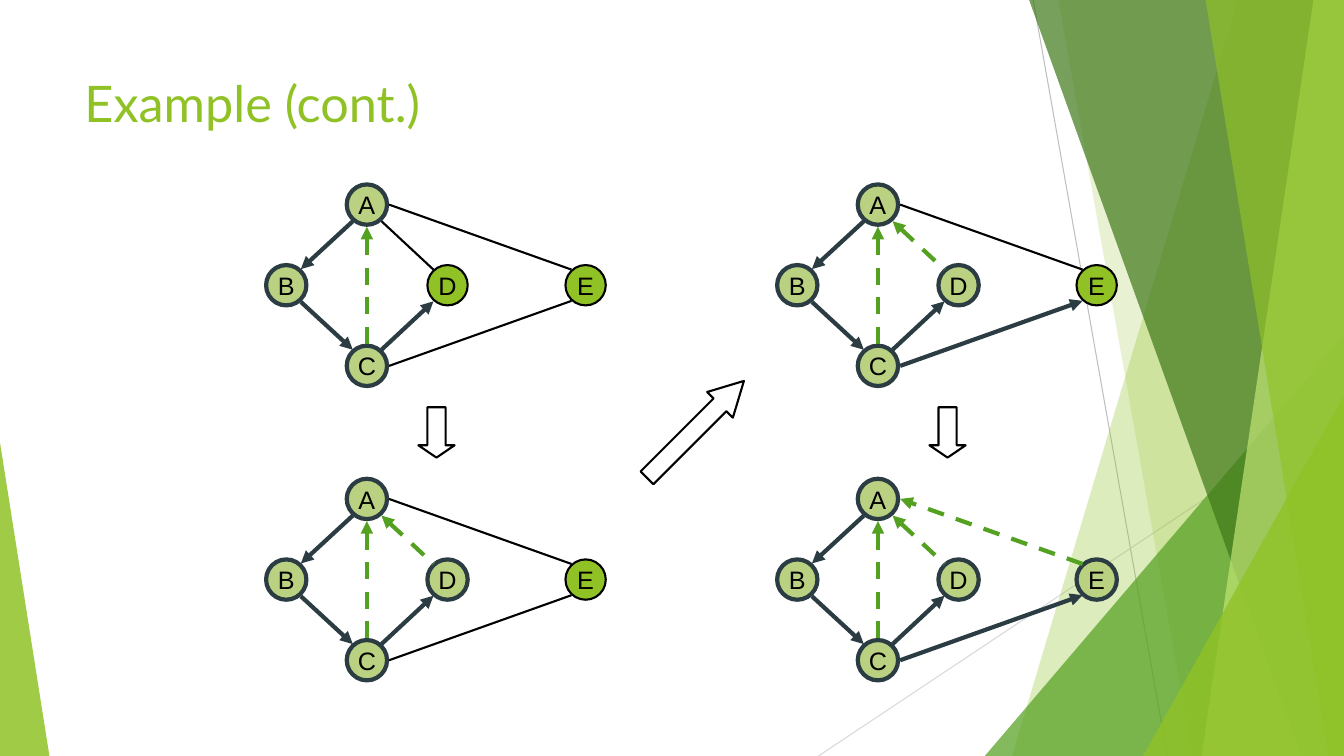
"""Draw the four steps of a depth-first search on a decorated slide."""
from dataclasses import dataclass

from lxml import etree
from pptx import Presentation
from pptx.dml.color import RGBColor
from pptx.enum.dml import MSO_LINE
from pptx.enum.shapes import MSO_CONNECTOR, MSO_SHAPE
from pptx.enum.text import MSO_ANCHOR, PP_ALIGN
from pptx.oxml.ns import qn
from pptx.util import Inches, Length, Pt

DASH = MSO_LINE.DASH
STRAIGHT = MSO_CONNECTOR.STRAIGHT
TRIANGLE, ELLIPSE, ARROW = (
    MSO_SHAPE.RIGHT_TRIANGLE, MSO_SHAPE.OVAL, MSO_SHAPE.RIGHT_ARROW)
TRIANGLE = MSO_SHAPE.ISOSCELES_TRIANGLE
TOP, MIDDLE = MSO_ANCHOR.TOP, MSO_ANCHOR.MIDDLE
LEFT, CENTER = PP_ALIGN.LEFT, PP_ALIGN.CENTER

CELLS_PER_INCH = 10
COLUMNS, ROWS = 133.33, 75
NODE_SIZE = 4
PANEL_COLUMNS = (36.4, 87.1)
PANEL_ROWS = (20.3, 49.5)

COLORS = {
    "lime": "90C226", "pale": "B9D181", "leaf": "54A021", "forest": "3F7819",
    "light": "C0E474", "slate": "2C3C43", "black": "000000",
    "silver": "BFBFBF", "mist": "D9D9D9",
}

Point = tuple[float, float]


@dataclass(frozen=True)
class Stroke:
    color: str
    width: float
    dashed: bool = False


PLAIN = Stroke("black", 1.5)
TREE = Stroke("slate", 3)
BACK = Stroke("leaf", 3, True)


@dataclass(frozen=True)
class Node:
    label: str
    column: float
    row: float
    visited_step: int = 1


@dataclass(frozen=True)
class Edge:
    start: Point
    end: Point
    stroke: Stroke
    arrow_end: str
    used_step: int = 1


@dataclass(frozen=True)
class Facet:
    points: tuple[Point, ...]
    color: str
    opacity: int


@dataclass(frozen=True)
class Wedge:
    column: float
    row: float
    width: float
    apex: float
    color: str
    opacity: int


@dataclass(frozen=True)
class StepArrow:
    column: float
    row: float
    length: float
    rotation: float
    head: float


NODES = (
    Node("A", 0, 0), Node("B", -8, 8), Node("C", 0, 16),
    Node("D", 8, 8, 2), Node("E", 21.7, 8, 4),
)
EDGES = (
    Edge((-1.4, 1.65), (-6.55, 6.4), TREE, "tailEnd"),
    Edge((-1.4, 14.4), (-6.55, 9.65), TREE, "headEnd"),
    Edge((1.45, 14.4), (6.6, 9.6), TREE, "tailEnd"),
    Edge((1.45, 1.65), (6.6, 6.45), BACK, "headEnd", 2),
    Edge((0, 2.2), (0, 13.8), BACK, "headEnd"),
    Edge((2.2, 16), (20.3, 9.55), TREE, "tailEnd", 3),
    Edge((20.3, 6.45), (2.2, 0), BACK, "tailEnd", 4),
)
DECORATIONS = (
    Facet(((122.8, 0), (COLUMNS, 0), (COLUMNS, ROWS), (100.4, ROWS)), "lime", 30),
    Facet(((105, 0), (COLUMNS, 0), (COLUMNS, ROWS), (118.3, ROWS)), "lime", 20),
    Wedge(97.7, 33.3, 35.6, 1, "leaf", 72),
    Facet(((102.1, 0), (COLUMNS, 0), (COLUMNS, ROWS), (129.1, ROWS)), "forest", 70),
    Facet(((130.3, 0), (COLUMNS, 0), (COLUMNS, ROWS), (119.2, ROWS)), "light", 70),
    Facet(((119.6, 0), (COLUMNS, 0), (COLUMNS, ROWS), (131.8, ROWS)), "lime", 65),
    Wedge(113.4, 39.3, 19.9, 1, "lime", 80),
    Wedge(0, 43.9, 4.9, 0, "lime", 85),
)
STEP_ARROWS = (
    StepArrow(43.3, 42.9, 5, 90, 0.34),
    StepArrow(69, 42.6, 13.6, 315, 0.93),
    StepArrow(94, 42.9, 5, 90, 0.34),
)


def cells(count: float) -> Length:
    """Turn grid cells into a length."""
    return Inches(count / CELLS_PER_INCH)


def rgb(name: str) -> RGBColor:
    """Look up a named colour."""
    return RGBColor.from_string(COLORS[name])


def write_text(shape, text: str, *, size: float, font: str, color: str,
               align=LEFT, anchor=TOP, wrap: bool = True) -> None:
    """Put one formatted line of text into a shape."""
    frame = shape.text_frame
    frame.word_wrap = wrap
    frame.vertical_anchor = anchor
    para = frame.paragraphs[0]
    para.alignment = align
    span = para.add_run()
    span.text = text
    span.font.size = Pt(size)
    span.font.name = font
    span.font.color.rgb = rgb(color)


def apply_stroke(line, stroke: Stroke) -> None:
    """Give a line its colour, width and dash."""
    line.color.rgb = rgb(stroke.color)
    line.width = Pt(stroke.width)
    if stroke.dashed:
        line.dash_style = DASH


def draw_line(page, start: Point, end: Point, stroke: Stroke,
              arrow_end: str = "") -> None:
    """Draw a straight line, with an arrowhead at the named end if any."""
    line = page.shapes.add_connector(STRAIGHT, *map(cells, start + end))
    apply_stroke(line.line, stroke)
    if arrow_end:
        etree.SubElement(line.get_or_add_ln(), qn(f"a:{arrow_end}"), type="triangle")
    etree.SubElement(line._element.spPr, qn("a:effectLst"))


def draw_decoration(page, item: Facet | Wedge) -> None:
    """Draw one translucent background polygon."""
    if isinstance(item, Facet):
        points = [(cells(column), cells(row)) for column, row in item.points]
        builder = page.shapes.build_freeform(*points[0])
        builder.add_line_segments(points[1:])
        shape = builder.convert_to_shape()
    else:
        shape = page.shapes.add_shape(
            TRIANGLE, cells(item.column), cells(item.row),
            cells(item.width), cells(ROWS - item.row))
        shape.adjustments[0] = item.apex
    shape.shadow.inherit = False
    shape.line.fill.background()
    shape.fill.solid()
    shape.fill.fore_color.rgb = rgb(item.color)
    color = shape._element.spPr.find(qn("a:solidFill"))[0]
    etree.SubElement(color, qn("a:alpha"), val=str(item.opacity * 1000))


def draw_node(page, node: Node, origin: Point, step: int) -> None:
    """Draw a graph node as it stands at the given step."""
    visited = step >= node.visited_step
    circle = page.shapes.add_shape(
        ELLIPSE, cells(origin[0] + node.column - NODE_SIZE / 2),
        cells(origin[1] + node.row - NODE_SIZE / 2),
        cells(NODE_SIZE), cells(NODE_SIZE))
    circle.shadow.inherit = False
    circle.fill.solid()
    circle.fill.fore_color.rgb = rgb("pale" if visited else "lime")
    apply_stroke(circle.line, TREE if visited else PLAIN)
    write_text(circle, node.label, size=18, font="Arial", color="black",
               align=CENTER, anchor=MIDDLE, wrap=False)


def draw_graph(page, origin: Point, step: int) -> None:
    """Draw the whole graph at the given step around node A."""
    for node in NODES:
        draw_node(page, node, origin, step)
    for edge in EDGES:
        used = step >= edge.used_step
        start, end = ((origin[0] + column, origin[1] + row)
                      for column, row in (edge.start, edge.end))
        draw_line(page, start, end, edge.stroke if used else PLAIN,
                  edge.arrow_end if used else "")


def draw_step_arrow(page, item: StepArrow) -> None:
    """Draw a block arrow centred on its grid position."""
    height = 3.6
    arrow = page.shapes.add_shape(
        ARROW, cells(item.column - item.length / 2), cells(item.row - height / 2),
        cells(item.length), cells(height))
    arrow.rotation = item.rotation
    arrow.adjustments[1] = item.head
    arrow.shadow.inherit = False
    arrow.fill.background()
    apply_stroke(arrow.line, PLAIN)


def main() -> None:
    """Build and save the deck."""
    deck = Presentation()
    deck.slide_width, deck.slide_height = cells(COLUMNS), cells(ROWS)
    page = deck.slides.add_slide(deck.slide_layouts[6])
    draw_line(page, (102.5, 0), (115.8, ROWS), Stroke("silver", 0.75))
    draw_line(page, (COLUMNS, 40.3), (81.2, ROWS), Stroke("mist", 0.75))
    for item in DECORATIONS:
        draw_decoration(page, item)
    box = page.shapes.add_textbox(cells(7.4), cells(6.7), cells(94), cells(14.4))
    write_text(box, "Example (cont.)", size=36, font="Lato", color="lime")
    origins = [(column, row) for column in PANEL_COLUMNS for row in PANEL_ROWS]
    for step, origin in enumerate(origins, start=1):
        draw_graph(page, origin, step)
    for item in STEP_ARROWS:
        draw_step_arrow(page, item)
    deck.save("out.pptx")


if __name__ == "__main__":
    main()
